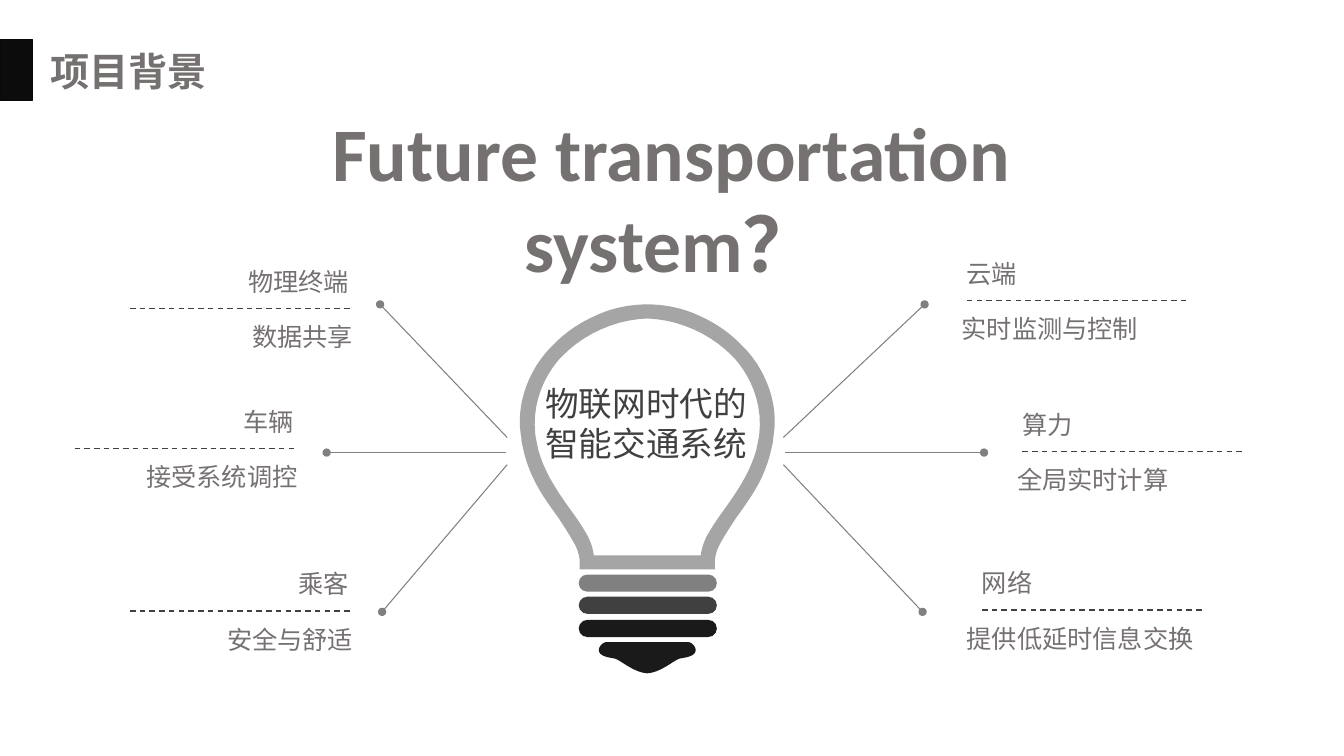
from pptx import Presentation
from pptx.dml.color import RGBColor
from pptx.enum.dml import MSO_LINE
from pptx.enum.shapes import MSO_CONNECTOR, MSO_SHAPE
from pptx.enum.text import MSO_ANCHOR, PP_ALIGN
from pptx.oxml.ns import qn
from pptx.util import Inches, Pt
from lxml import etree

RECT, PILL = MSO_SHAPE.RECTANGLE, MSO_SHAPE.ROUNDED_RECTANGLE
STRAIGHT, DASH = MSO_CONNECTOR.STRAIGHT, MSO_LINE.DASH
LEFT, CENTER, RIGHT = PP_ALIGN.LEFT, PP_ALIGN.CENTER, PP_ALIGN.RIGHT
TOP, MIDDLE = MSO_ANCHOR.TOP, MSO_ANCHOR.MIDDLE

BLACK = RGBColor(0x0C, 0x0C, 0x0C)
EDGE = RGBColor(0x09, 0x09, 0x09)
INK = RGBColor(0x1A, 0x1A, 0x1A)
DARK = RGBColor(0x40, 0x40, 0x40)
TEXT = RGBColor(0x76, 0x71, 0x71)
MID = RGBColor(0x80, 0x80, 0x80)
LIGHT = RGBColor(0xA5, 0xA5, 0xA5)
CJK = "Noto Sans CJK SC"
AXIS = 6.42  # vertical axis of the bulb


def write(sp, text, size, font, color, align=LEFT, bold=False, wrap=True, anchor=TOP):
    tf = sp.text_frame
    tf.text = text
    tf.word_wrap = wrap
    tf.vertical_anchor = anchor
    for p in tf.paragraphs:
        p.alignment = align
        for r in p.runs:
            r.font.size = Pt(size)
            r.font.bold = bold
            r.font.color.rgb = color
            r.font.name = font
            latin = r.font._element.find(qn("a:latin"))
            ea = etree.Element(qn("a:ea"), typeface=font)
            latin.addnext(ea)


def outline(start, *segments, steps=10):
    """Trace the left half from lines (2 numbers) and curves (6), then mirror it."""
    pts = [start]
    for seg in segments:
        if len(seg) == 2:
            pts.append(seg)
            continue
        (x0, y0), (x1, y1, x2, y2, x3, y3) = pts[-1], seg
        for i in range(1, steps + 1):
            t = i / steps
            a, b, c, d = (1 - t) ** 3, 3 * t * (1 - t) ** 2, 3 * t * t * (1 - t), t ** 3
            pts.append((a * x0 + b * x1 + c * x2 + d * x3, a * y0 + b * y1 + c * y2 + d * y3))
    pts += [(2 * AXIS - x, y) for x, y in reversed(pts)]
    return [(Inches(x), Inches(y)) for x, y in pts]


prs = Presentation()
prs.slide_width, prs.slide_height = Inches(13.33), Inches(7.5)
s = prs.slides.add_slide(prs.slide_layouts[5])

# Title with its marker
sp = s.shapes.add_shape(RECT, 0, Inches(0.39), Inches(0.32), Inches(0.61))
sp.shadow.inherit = False
sp.fill.solid()
sp.fill.fore_color.rgb = BLACK
sp.line.color.rgb = EDGE
sp.line.width = Pt(1)
title = s.shapes.title
title.left, title.top, title.width, title.height = Inches(0.4), Inches(0.42), Inches(1.76), Inches(0.57)
write(title, "项目背景", 28, CJK, TEXT, bold=True, wrap=False, anchor=MIDDLE)

# Spokes from the bulb, then dashed label rules
spokes = [
    (7.77, 4.34, 9.17, 3.02), (7.79, 4.49, 9.76, 4.49), (7.77, 4.61, 9.15, 6.07),
    (5.03, 4.34, 3.77, 3.02), (5.02, 4.49, 3.24, 4.49), (5.03, 4.61, 3.79, 6.07),
]
# Labels: left end of rule, its height, heading, detail, side, detail offset
labels = [
    (9.59, 2.98, "云端", "实时监测与控制", LEFT, -0.15),
    (10.14, 4.48, "算力", "全局实时计算", LEFT, -0.15),
    (9.74, 6.05, "网络", "提供低延时信息交换", LEFT, -0.25),
    (1.29, 3.06, "物理终端", "数据共享", RIGHT, -0.16),
    (0.74, 4.45, "车辆", "接受系统调控", RIGHT, -0.16),
    (1.29, 6.06, "乘客", "安全与舒适", RIGHT, -0.16),
]
RULE = 2.21
lines = [(ends, False) for ends in spokes]
lines += [((x, y, x + RULE, y), True) for x, y, *_ in labels]
for ends, is_rule in lines:
    cn = s.shapes.add_connector(STRAIGHT, *[Inches(v) for v in ends])
    cn.line.color.rgb = DARK if is_rule else MID
    cn.line.width = Pt(1 if is_rule else 0.75)
    if is_rule:
        cn.line.dash_style = DASH
    else:
        etree.SubElement(cn.line._get_or_add_ln(), qn("a:tailEnd"), type="oval")
    etree.SubElement(cn._element.spPr, qn("a:effectLst"))

# Label texts above and below each rule
for x, y, heading, detail, side, offset in labels:
    width = 0.21 + 0.25 * len(heading)
    left = x - 0.1 if side == LEFT else x + RULE + 0.06 - width
    sp = s.shapes.add_textbox(Inches(left), Inches(y - 0.47), Inches(width), Inches(0.4))
    write(sp, heading, 18, CJK, TEXT, side, wrap=False)
    sp = s.shapes.add_textbox(Inches(x + offset), Inches(y + 0.08), Inches(2.47), Inches(0.4))
    write(sp, detail, 18, CJK, TEXT, side)

# Bulb glass (outer and inner outline) and base tip
glass_outer = outline(
    (AXIS, 3.02), (6.24, 3.02, 6.05, 3.06, 5.89, 3.14), (5.73, 3.21, 5.58, 3.32, 5.47, 3.44),
    (5.44, 3.47), (5.33, 3.59, 5.26, 3.72, 5.21, 3.86), (5.16, 4.01, 5.14, 4.17, 5.17, 4.34),
    (5.17, 4.39, 5.19, 4.45, 5.2, 4.5), (5.27, 4.78, 5.42, 4.97, 5.54, 5.14),
    (5.6, 5.23, 5.65, 5.31, 5.69, 5.38), (5.73, 5.45, 5.75, 5.52, 5.75, 5.58), (5.75, 5.65))
glass_inner = outline(
    (AXIS, 3.16), (6.11, 3.17, 5.79, 3.31, 5.57, 3.54), (5.55, 3.56),
    (5.42, 3.71, 5.27, 3.97, 5.31, 4.32), (5.32, 4.37, 5.33, 4.42, 5.34, 4.47),
    (5.41, 4.71, 5.54, 4.89, 5.66, 5.06), (5.72, 5.14, 5.78, 5.23, 5.83, 5.32),
    (5.86, 5.38, 5.88, 5.44, 5.89, 5.51))
tip = outline(
    (AXIS, 6.37), (6.02, 6.37), (5.98, 6.37, 5.94, 6.41, 5.94, 6.45),
    (5.94, 6.5, 6.01, 6.52, 6.08, 6.53), (6.14, 6.53, 6.27, 6.67, AXIS, 6.68))
bulb = []
for contours, color in [([glass_outer, glass_inner[::-1]], LIGHT), ([tip], INK)]:
    fb = s.shapes.build_freeform(*contours[0][0])
    fb.add_line_segments(contours[0][1:], close=True)
    for hole in contours[1:]:
        fb.move_to(*hole[0])
        fb.add_line_segments(hole[1:], close=True)
    bulb.append((fb.convert_to_shape(), color))

# Screw threads
for top, color in [(5.7, MID), (5.92, DARK), (6.15, INK)]:
    sp = s.shapes.add_shape(PILL, Inches(5.74), Inches(top), Inches(1.37), Inches(0.17))
    sp.adjustments[0] = 0.5
    bulb.append((sp, color))
for sp, color in bulb:
    sp.shadow.inherit = False
    sp.fill.solid()
    sp.fill.fore_color.rgb = color
    sp.line.fill.background()

# Text inside the bulb and the headline
sp = s.shapes.add_textbox(Inches(5.31), Inches(3.75), Inches(2.51), Inches(1))
write(sp, "物联网时代的\n智能交通系统", 24, "Arial", DARK)
sp = s.shapes.add_textbox(Inches(1.85), Inches(1), Inches(9.62), Inches(1.01))
write(sp, "Future transportation system？", 54, "Calibri", TEXT, CENTER, bold=True)

prs.save("out.pptx")
